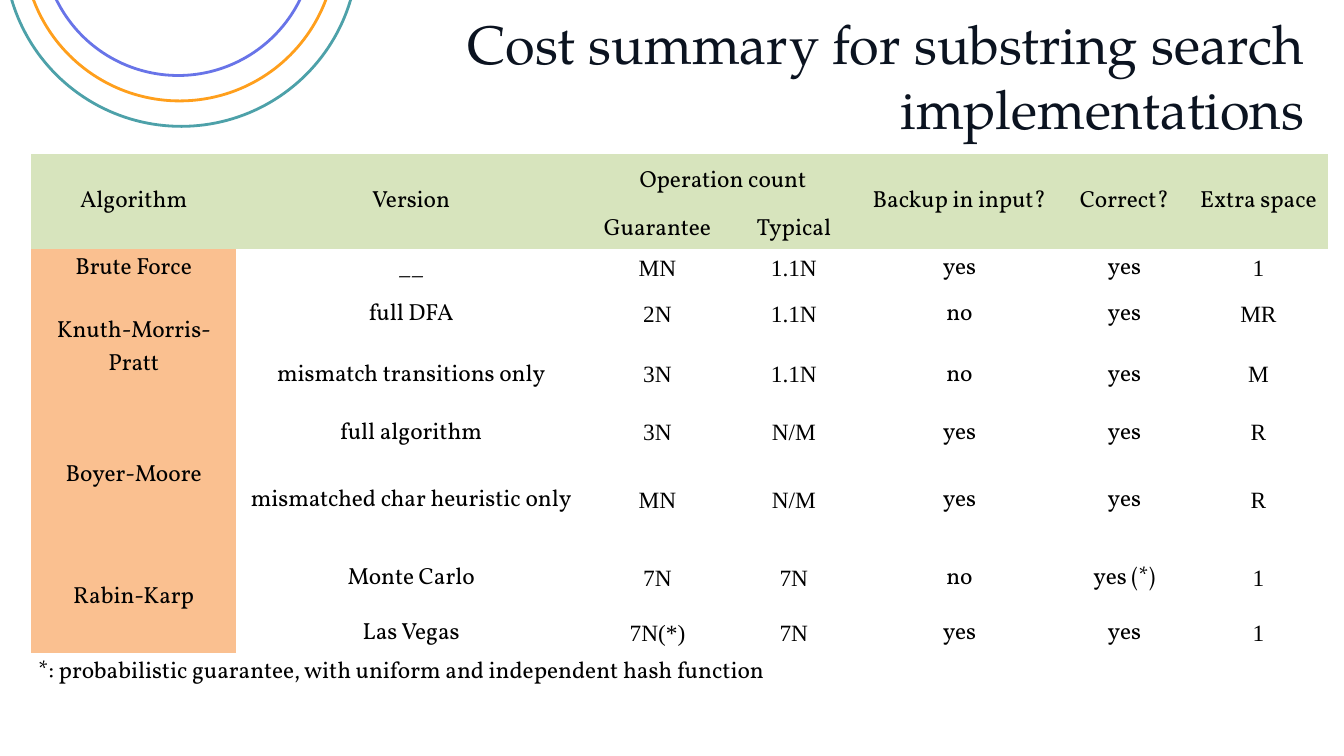
from pptx import Presentation
from pptx.dml.color import RGBColor
from pptx.enum.shapes import MSO_SHAPE as Shape
from pptx.enum.text import MSO_ANCHOR as Anchor, MSO_AUTO_SIZE as AutoSize, PP_ALIGN as Align
from pptx.util import Cm, Pt

TITLE = "Cost summary for substring search implementations"
ROWS = [
    ["Algorithm", "Version", "Operation count", "", "Backup in input?", "Correct?", "Extra space"],
    ["", "", "Guarantee", "Typical", "", "", ""],
    ["Brute Force", "__", "MN", "1.1N", "yes", "yes", "1"],
    ["Knuth-Morris-Pratt", "full DFA", "2N", "1.1N", "no", "yes", "MR"],
    ["", "mismatch transitions only", "3N", "1.1N", "no", "yes", "M"],
    ["Boyer-Moore", "full algorithm", "3N", "N/M", "yes", "yes", "R"],
    ["", "mismatched char heuristic only", "MN", "N/M", "yes", "yes", "R"],
    ["Rabin-Karp", "Monte Carlo", "7N", "7N", "no", "yes (*)", "1"],
    ["", "Las Vegas", "7N(*)", "7N", "yes", "yes", "1"],
    ["*: probabilistic guarantee, with uniform and independent hash function"] + [""] * 6,
]
COLUMN_WIDTHS = [7.72, 13.26, 5.36, 4.95, 7.57, 4.9, 5.23]
ROW_HEIGHTS = [2.11, 1.47, 1.47, 2.03, 2.51, 1.88, 3.2, 2.69, 1.47, 1.47]
HEADER_ROWS = 2
FOOTNOTE_ROW = len(ROWS) - 1
FORMULA_COLUMNS = (2, 3, 6)
MERGES = [((0, column), (1, column)) for column in (0, 1, 4, 5, 6)]
MERGES += [((row, 0), (row + 1, 0)) for row in (3, 5, 7)]
MERGES += [((0, 2), (0, 3)), ((FOOTNOTE_ROW, 0), (FOOTNOTE_ROW, 6))]
ARCH_COLORS = ["4DA1A9", "FF9F1C", "6874E8"]
ARCH_CENTER = (6.35, -3.53)
NO_STYLE = "{2D5ABB26-0587-4C30-8999-92F81FD0307C}"


def color(value):
    return RGBColor.from_string(value)


def format_text(frame, name, size, value, align):
    for para in frame.paragraphs:
        para.alignment = align
        for span in para.runs:
            span.font.name = name
            span.font.size = Pt(size)
            span.font.color.rgb = color(value)


def add_title(page):
    title = page.shapes.title
    title.left, title.top, title.width, title.height = Cm(16.33), Cm(0.41), Cm(32.97), Cm(5.13)
    frame = title.text_frame
    frame.text = TITLE
    frame.word_wrap = True
    frame.auto_size = AutoSize.NONE
    frame.vertical_anchor = Anchor.TOP
    frame.margin_left = frame.margin_right = frame.margin_top = frame.margin_bottom = 0
    format_text(frame, "TeX Gyre Pagella", 58, "0B1320", Align.RIGHT)


def add_arches(page):
    center_x, center_y = ARCH_CENTER
    for index, line_color in enumerate(ARCH_COLORS):
        width, height = 13.36 - 1.55 * index, 16.76 - 1.94 * index
        arch = page.shapes.add_shape(
            Shape.ROUND_2_SAME_RECTANGLE,
            Cm(center_x - width / 2), Cm(center_y - height / 2), Cm(width), Cm(height))
        arch.adjustments[0] = 0.5
        arch.rotation = 163
        arch.shadow.inherit = False
        arch.fill.background()
        arch.line.color.rgb = color(line_color)
        arch.line.width = Pt(3)


def fill_cell(cell, row, column):
    if row < HEADER_ROWS:
        cell.fill.solid()
        cell.fill.fore_color.rgb = color("D7E4BD")
    elif column == 0 and row != FOOTNOTE_ROW:
        cell.fill.solid()
        cell.fill.fore_color.rgb = color("FAC090")
    else:
        cell.fill.background()


def add_cost_table(page):
    table = page.shapes.add_table(
        len(ROWS), len(COLUMN_WIDTHS), Cm(1.19), Cm(5.82),
        Cm(sum(COLUMN_WIDTHS)), Cm(sum(ROW_HEIGHTS))).table
    table.first_row = table.horz_banding = False
    table._tbl.tblPr[0].text = NO_STYLE
    for column, width in zip(table.columns, COLUMN_WIDTHS):
        column.width = Cm(width)
    for row, height in zip(table.rows, ROW_HEIGHTS):
        row.height = Cm(height)
    for first, last in MERGES:
        table.cell(*first).merge(table.cell(*last))
    for row, texts in enumerate(ROWS):
        for column, text in enumerate(texts):
            cell = table.cell(row, column)
            fill_cell(cell, row, column)
            if not text:
                continue
            cell.text_frame.text = text
            cell.vertical_anchor = Anchor.TOP if row in (1, FOOTNOTE_ROW) else Anchor.MIDDLE
            formula = row >= HEADER_ROWS and column in FORMULA_COLUMNS
            format_text(cell.text_frame, "Times New Roman" if formula else "Vollkorn", 25,
                        "000000", Align.LEFT if row == FOOTNOTE_ROW else Align.CENTER)


def main():
    deck = Presentation()
    deck.slide_width, deck.slide_height = Cm(50.8), Cm(28.58)
    page = deck.slides.add_slide(deck.slide_layouts[5])
    page.background.fill.solid()
    page.background.fill.fore_color.rgb = color("FFFFFF")
    add_title(page)
    add_arches(page)
    add_cost_table(page)
    deck.save("out.pptx")


if __name__ == "__main__":
    main()
